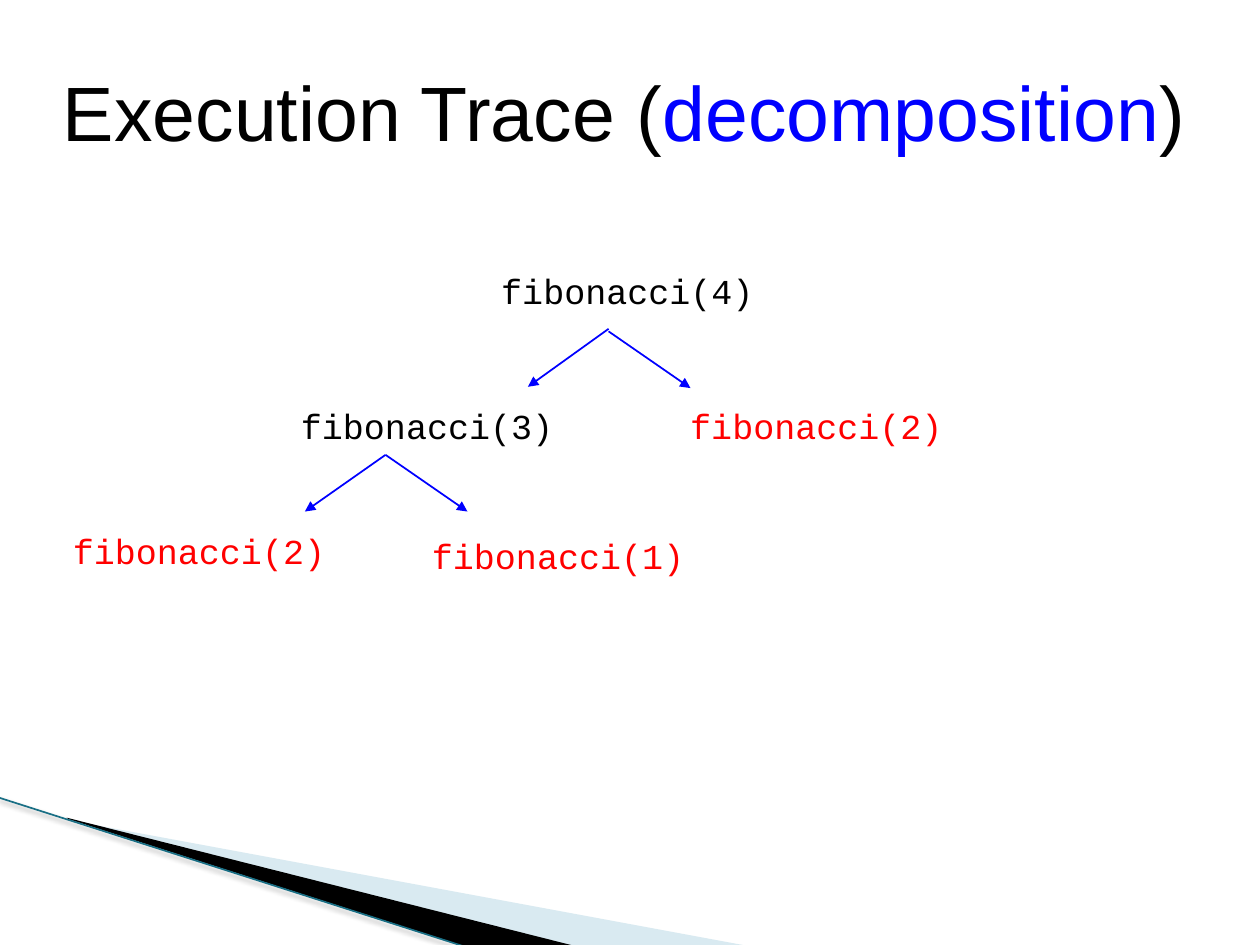
from dataclasses import dataclass

from lxml import etree
from pptx import Presentation
from pptx.dml.color import RGBColor
from pptx.enum import shapes, text
from pptx.oxml import ns
from pptx.util import Inches, Pt


@dataclass(frozen=True)
class Theme:
    """Colours, fonts and sizes of the slide."""
    black: str = "000000"
    blue: str = "0000FF"
    red: str = "FF0000"
    pale: str = "A0CBDC"
    teal: str = "196F85"
    title_font: str = "Arial"
    code_font: str = "Courier New"
    title_size: int = 44
    code_size: int = 20


THEME = Theme()


def add_child(parent, tag, **attributes):
    """Append a DrawingML element and return it."""
    child = etree.SubElement(parent, ns.qn(tag))
    for name, value in attributes.items():
        child.set(name, str(value))
    return child


def add_span(para, content, *, font, size, color):
    """Add a formatted run to a paragraph."""
    span = para.add_run()
    span.text = content
    span.font.name = font
    span.font.size = Pt(size)
    span.font.color.rgb = RGBColor.from_string(color)


def add_title(page, spans):
    """Add the title from pairs of text and colour."""
    box = page.shapes.add_textbox(Inches(0.5), Inches(0.3), Inches(9), Inches(1.25))
    frame = box.text_frame
    frame.word_wrap = True
    frame.vertical_anchor = text.MSO_ANCHOR.MIDDLE
    frame.margin_left = frame.margin_right = frame.margin_top = frame.margin_bottom = 0
    para = frame.paragraphs[0]
    para.line_spacing = 0.9
    for content, color in spans:
        add_span(para, content, font=THEME.title_font, size=THEME.title_size, color=color)


def add_call(page, number, left, top, color):
    """Add the label of one call in the trace."""
    box = page.shapes.add_textbox(Inches(left), Inches(top), Inches(2.2), Inches(0.43))
    frame = box.text_frame
    frame.word_wrap = True
    frame.margin_right = 0
    add_span(frame.paragraphs[0], f"fibonacci({number})",
             font=THEME.code_font, size=THEME.code_size, color=color)


def add_line(page, start, end, *, color, width):
    """Add a straight line and return it with its empty effect list."""
    ends = [Inches(value) for value in (*start, *end)]
    line = page.shapes.add_connector(shapes.MSO_CONNECTOR.STRAIGHT, *ends)
    line.line.color.rgb = RGBColor.from_string(color)
    line.line.width = Pt(width)
    effects = add_child(line._element.spPr, "a:effectLst")
    return line, effects


def add_arrow(page, start, end):
    """Add a blue arrow from a call to one of its parts."""
    arrow, _ = add_line(page, start, end, color=THEME.blue, width=1)
    add_child(arrow.line._get_or_add_ln(), "a:tailEnd", type="triangle")


def add_wedge(page, points, color, opacity=100):
    """Add a filled outline without a border."""
    first, *rest = [(Inches(x), Inches(y)) for x, y in points]
    builder = page.shapes.build_freeform(*first)
    builder.add_line_segments(rest, close=True)
    wedge = builder.convert_to_shape()
    wedge.shadow.inherit = False
    wedge.line.fill.background()
    wedge.fill.solid()
    wedge.fill.fore_color.rgb = RGBColor.from_string(color)
    if opacity < 100:
        fill = wedge._element.spPr.find(ns.qn("a:solidFill"))
        add_child(fill[0], "a:alpha", val=opacity * 1000)


def add_corner(page):
    """Draw the wedges and the shadowed edge at the lower left."""
    add_wedge(page, [(0.55, 6.51), (5.95, 7.51), (4.56, 7.51), (0.55, 6.5)], THEME.pale, 40)
    add_wedge(page, [(0.53, 6.49), (4.57, 7.51), (3.72, 7.52), (0.54, 6.5)], THEME.black)
    _, effects = add_line(page, (-0.01, 6.33), (3.71, 7.52), color=THEME.teal, width=0.96)
    shadow = add_child(effects, "a:outerShdw", blurRad=Pt(3.1), dist=Pt(1.6),
                       dir=90 * 60000, algn="t", rotWithShape=0)
    tone = add_child(shadow, "a:srgbClr", val=THEME.black)
    add_child(tone, "a:alpha", val=38000)


def main():
    """Build the slide and save it."""
    deck = Presentation()
    deck.slide_width, deck.slide_height = Inches(10), Inches(7.5)
    page = deck.slides.add_slide(deck.slide_layouts[6])
    add_corner(page)
    add_title(page, [("Execution Trace (", THEME.black),
                     ("decomposition", THEME.blue), (")", THEME.black)])
    calls = [(4, 3.88, 2.09, THEME.black), (3, 2.29, 3.16, THEME.black),
             (2, 5.38, 3.16, THEME.red), (1, 3.33, 4.19, THEME.red),
             (2, 0.48, 4.15, THEME.red)]
    for call in calls:
        add_call(page, *call)
    arrows = [((4.83, 2.61), (4.19, 3.07)), ((4.83, 2.63), (5.48, 3.08)),
              ((3.06, 3.61), (2.42, 4.06)), ((3.06, 3.61), (3.71, 4.06))]
    for start, end in arrows:
        add_arrow(page, start, end)
    deck.save("out.pptx")


if __name__ == "__main__":
    main()
